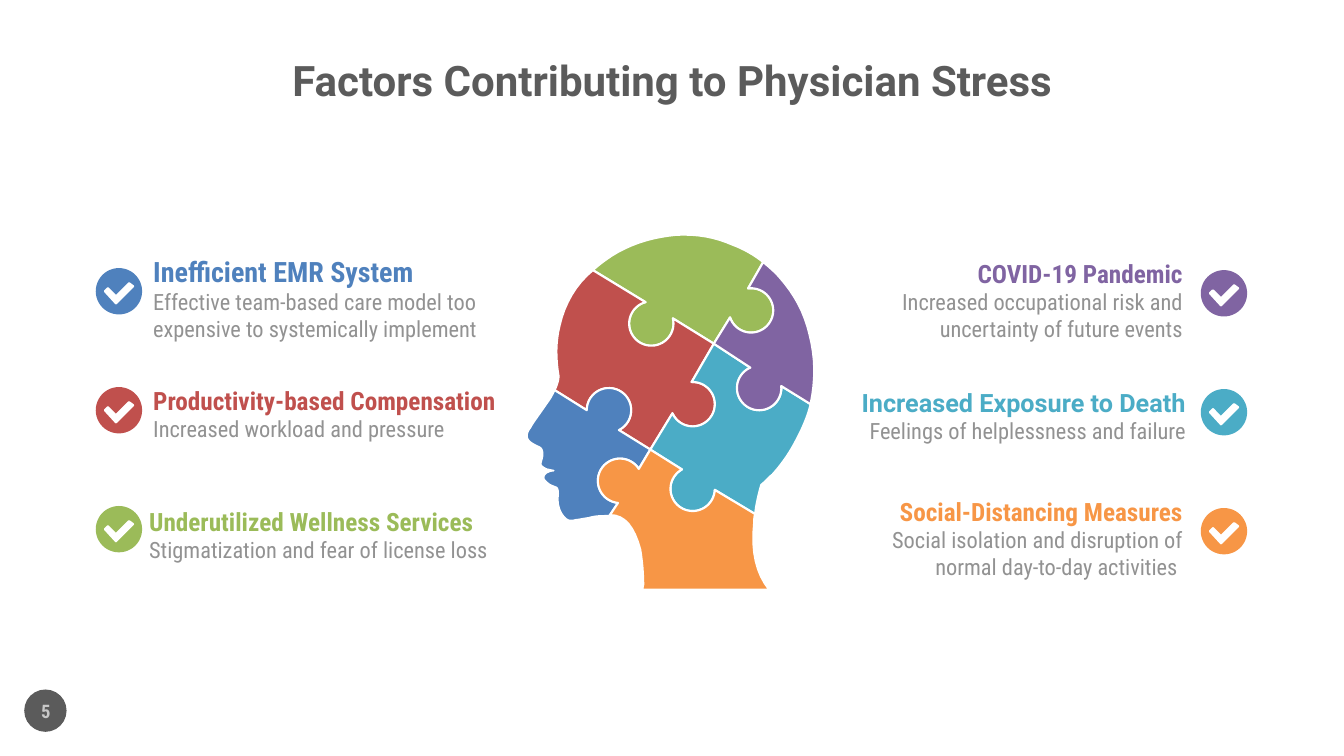
from math import atan2, cos, pi, sin

from pptx import Presentation
from pptx.dml.color import RGBColor
from pptx.enum.shapes import MSO_SHAPE
from pptx.enum.text import MSO_ANCHOR, PP_ALIGN
from pptx.util import Inches, Pt

COLORS = {
    "blue": "4F81BD", "red": "C0504D", "green": "9BBB59", "purple": "8064A2",
    "teal": "4BACC6", "orange": "F79646", "dark": "5B5B5B", "gray": "929292",
    "pale": "C8C8C8", "white": "FFFFFF",
}
CONDENSED, REGULAR = "Roboto Condensed", "Roboto"
WIDTH, HEIGHT = 13.33, 7.5

# Grid of the factors: one badge per row, text beside it
ROW_TOP, ROW_STEP = 2.89, 1.18
LEFT_BADGE, RIGHT_BADGE, BADGE = 1.18, 12.14, 0.46
TEXT_GAP, TEXT_W, TEXT_H = 0.34, 3.47, 0.84
KNOB_R = 0.22

# Factors: colour, heading, heading size, heading font, detail, text shift (x, y)
LEFT_FACTORS = [
    ("blue", "Inefficient EMR System", 20, CONDENSED,
     "Effective team-based care model too expensive to systemically implement", (0, -0.36)),
    ("red", "Productivity-based Compensation", 18, CONDENSED,
     "Increased workload and pressure", (0, -0.25)),
    ("green", "Underutilized Wellness Services", 18, CONDENSED,
     "Stigmatization and fear of license loss", (-0.04, -0.23)),
]
RIGHT_FACTORS = [
    ("purple", "COVID-19 Pandemic", 18, CONDENSED,
     "Increased occupational risk and uncertainty of future events", (-0.07, -0.35)),
    ("teal", "Increased Exposure to Death", 18, REGULAR,
     "Feelings of helplessness and failure", (-0.04, -0.25)),
    ("orange", "Social-Distancing Measures", 18, CONDENSED,
     "Social isolation and disruption of normal day-to-day activities ", (-0.07, -0.35)),
]

# Points where the puzzle pieces meet
HUB, CENTER = (6.45, 4.46), (7.08, 3.41)
TEMPLE, CROWN, BROW = (5.88, 2.68), (7.57, 2.6), (5.5, 3.87)
BACK, NAPE, CHIN = (8.04, 4.01), (7.49, 5.1), (6.05, 5.11)

# Head outline as Bezier chains: an anchor, then control, control, anchor
OUTLINE = {
    "crown": [TEMPLE, (5.96, 2.61), (6.04, 2.55), (6.13, 2.5), (6.31, 2.4), (6.5, 2.35),
              (6.71, 2.33), (6.91, 2.32), (7.09, 2.35), (7.27, 2.43), (7.38, 2.47),
              (7.48, 2.53), CROWN],
    "back": [CROWN, (7.63, 2.65), (7.69, 2.7), (7.74, 2.76), (7.88, 2.92), (7.98, 3.1),
             (8.03, 3.32), (8.09, 3.55), (8.09, 3.78), BACK],
    "nape": [BACK, (8.01, 4.14), (7.95, 4.27), (7.88, 4.4), (7.82, 4.51), (7.75, 4.61),
             (7.66, 4.71), (7.62, 4.74), (7.59, 4.78), (7.55, 4.81), (7.52, 4.92),
             (7.5, 5.0), NAPE],
    "neck": [NAPE, (7.48, 5.13), (7.48, 5.16), (7.48, 5.19), (7.45, 5.47), (7.5, 5.69),
             (7.63, 5.85), (7.63, 5.85), (6.37, 5.85), (6.37, 5.85), (6.37, 5.85),
             (6.38, 5.8), (6.38, 5.8), (6.38, 5.69), (6.37, 5.57), (6.35, 5.45),
             (6.29, 5.23), (6.2, 5.11), CHIN],
    "face": [CHIN, (6.05, 5.11), (6.04, 5.12), (6.04, 5.12), (5.97, 5.12), (5.9, 5.12),
             (5.84, 5.14), (5.77, 5.15), (5.73, 5.16), (5.71, 5.16), (5.68, 5.17),
             (5.65, 5.17), (5.63, 5.16), (5.61, 5.15), (5.59, 5.13), (5.57, 5.1),
             (5.54, 5.05), (5.53, 5.0), (5.53, 4.94), (5.54, 4.88), (5.53, 4.85),
             (5.52, 4.84), (5.5, 4.83), (5.47, 4.82), (5.45, 4.81), (5.41, 4.78),
             (5.39, 4.76), (5.39, 4.74), (5.39, 4.71), (5.41, 4.69), (5.44, 4.68),
             (5.46, 4.67), (5.47, 4.67), (5.49, 4.67), (5.47, 4.67), (5.45, 4.66),
             (5.43, 4.66), (5.38, 4.64), (5.36, 4.62), (5.36, 4.6), (5.37, 4.56),
             (5.38, 4.53), (5.38, 4.51), (5.38, 4.47), (5.37, 4.44), (5.33, 4.43),
             (5.27, 4.4), (5.24, 4.38), (5.23, 4.35), (5.22, 4.33), (5.22, 4.29),
             (5.26, 4.24), (5.28, 4.2), (5.34, 4.12), (5.43, 3.99), (5.46, 3.95),
             (5.48, 3.91), BROW],
    "forehead": [BROW, (5.53, 3.81), (5.54, 3.76), (5.54, 3.73), (5.51, 3.56),
                 (5.51, 3.39), (5.55, 3.23), (5.6, 3.01), (5.71, 2.82), TEMPLE],
}

# Inner seams: start, neck in, knob centre, neck out, end
SEAMS = {
    "green_red": (TEMPLE, (6.4, 2.99), (6.46, 3.21), (6.67, 3.16), CENTER),
    "green_purple": (CENTER, (7.24, 3.15), (7.45, 3.08), (7.42, 2.86), CROWN),
    "blue_red": (HUB, (6.14, 4.27), (6.04, 4.07), (5.82, 4.07), BROW),
    "red_teal": (HUB, (6.67, 4.1), (6.87, 4.01), (6.86, 3.79), CENTER),
    "teal_orange": (HUB, (6.76, 4.65), (6.87, 4.85), (7.09, 4.86), NAPE),
    "purple_teal": (CENTER, (7.44, 3.64), (7.53, 3.85), (7.75, 3.83), BACK),
    "blue_orange": (HUB, (6.34, 4.65), (6.15, 4.77), (6.13, 4.99), CHIN),
}

# Each piece is a loop of edges; "-" walks an edge backwards
PIECES = [
    ("green", "crown -green_purple -green_red"),
    ("red", "forehead green_red -red_teal blue_red"),
    ("blue", "face -blue_red blue_orange"),
    ("teal", "nape -teal_orange red_teal purple_teal"),
    ("orange", "neck -blue_orange teal_orange"),
    ("purple", "back -purple_teal green_purple"),
]

# Check mark around the badge centre
CHECK = [(0.1, -0.08), (0.14, -0.05), (-0.03, 0.12), (-0.14, 0.0), (-0.11, -0.03), (-0.03, 0.05)]


def rgb(name):
    return RGBColor.from_string(COLORS[name])


def curve(chain, steps=8):
    points = [chain[0]]
    for i in range(0, len(chain) - 1, 3):
        for k in range(1, steps + 1):
            t = k / steps
            weights = ((1 - t) ** 3, 3 * t * (1 - t) ** 2, 3 * t * t * (1 - t), t ** 3)
            points.append(tuple(sum(w * p[axis] for w, p in zip(weights, chain[i:i + 4]))
                                for axis in (0, 1)))
    return points


def seam(start, neck_in, knob, neck_out, end, steps=40):
    a, b = (atan2(n[1] - knob[1], n[0] - knob[0]) for n in (neck_in, neck_out))
    sweep = (a - b) % (2 * pi)
    angles = [a - sweep * k / steps for k in range(steps + 1)]
    arc = [(knob[0] + KNOB_R * cos(v), knob[1] + KNOB_R * sin(v)) for v in angles]
    return [start, *arc, end]


def paint(shape, fill, line=None, width=1.5):
    shape.shadow.inherit = False
    shape.fill.solid()
    shape.fill.fore_color.rgb = rgb(fill)
    if line:
        shape.line.color.rgb = rgb(line)
        shape.line.width = Pt(width)
    else:
        shape.line.fill.background()


def add_outline(s, points, fill, width):
    emu = [(Inches(x), Inches(y)) for x, y in points]
    builder = s.shapes.build_freeform(*emu[0])
    builder.add_line_segments(emu[1:], close=True)
    paint(builder.convert_to_shape(), fill, "white", width)


def add_circle(s, x, y, size, fill):
    paint(s.shapes.add_shape(MSO_SHAPE.OVAL, Inches(x - size / 2), Inches(y - size / 2),
                             Inches(size), Inches(size)), fill)


def add_text(s, box, lines, align, anchor=MSO_ANCHOR.TOP, spacing=1.0):
    tf = s.shapes.add_textbox(*(Inches(v) for v in box)).text_frame
    tf.word_wrap = True
    tf.vertical_anchor = anchor
    tf.margin_left = tf.margin_right = tf.margin_top = tf.margin_bottom = 0
    tf.text = "\n".join(line[0] for line in lines)
    for p, (_, size, font, color, bold) in zip(tf.paragraphs, lines):
        p.alignment, p.line_spacing = align, spacing
        f = p.runs[0].font
        f.size, f.name, f.bold, f.color.rgb = Pt(size), font, bold, rgb(color)


def add_head(s):
    edges = {name: curve(chain) for name, chain in OUTLINE.items()}
    edges.update((name, seam(*parts)) for name, parts in SEAMS.items())
    for color, loop in PIECES:
        points = []
        for name in loop.split():
            points += edges[name[1:]][::-1] if name[0] == "-" else edges[name]
        add_outline(s, points, color, 1.5)


def add_factor(s, row, factor, on_left):
    color, heading, size, font, detail, (dx, dy) = factor
    x = LEFT_BADGE if on_left else RIGHT_BADGE
    y = ROW_TOP + row * ROW_STEP + (0 if on_left else 0.02)
    add_circle(s, x, y, BADGE, color)
    add_outline(s, [(x + cx, y + cy) for cx, cy in CHECK], "white", 1.5)
    text_x = x + TEXT_GAP if on_left else x - TEXT_GAP - TEXT_W
    add_text(s, (text_x + dx, y + dy, TEXT_W, TEXT_H),
             [(heading, size, font, color, True), (detail, 16, CONDENSED, "gray", False)],
             PP_ALIGN.LEFT if on_left else PP_ALIGN.RIGHT)


def main():
    prs = Presentation()
    prs.slide_width, prs.slide_height = Inches(WIDTH), Inches(HEIGHT)
    s = prs.slides.add_slide(prs.slide_layouts[6])

    # Title
    add_text(s, (2.56, 0.56, 8.22, 0.52),
             [("Factors Contributing to Physician Stress", 30, REGULAR, "dark", True)],
             PP_ALIGN.CENTER, MSO_ANCHOR.MIDDLE, 0.9)

    # Puzzle head and the factors on both sides
    add_head(s)
    for factors, on_left in ((LEFT_FACTORS, True), (RIGHT_FACTORS, False)):
        for row, factor in enumerate(factors):
            add_factor(s, row, factor, on_left)

    # Slide number
    add_circle(s, 0.45, 7.05, 0.42, "dark")
    add_text(s, (0.12, 6.85, 0.67, 0.4), [("5", 13.3, CONDENSED, "pale", True)],
             PP_ALIGN.CENTER, MSO_ANCHOR.MIDDLE)

    prs.save("out.pptx")


main()
